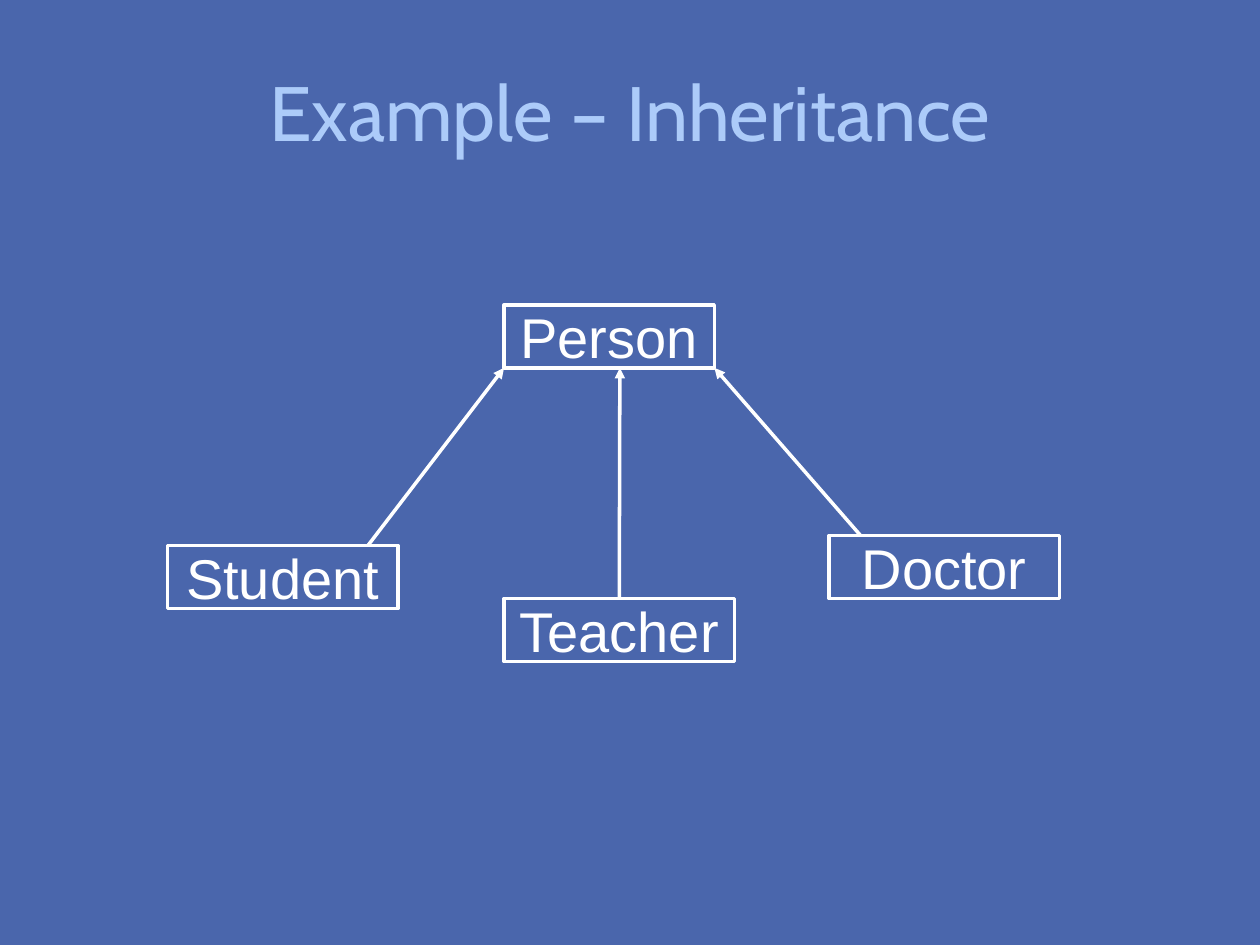
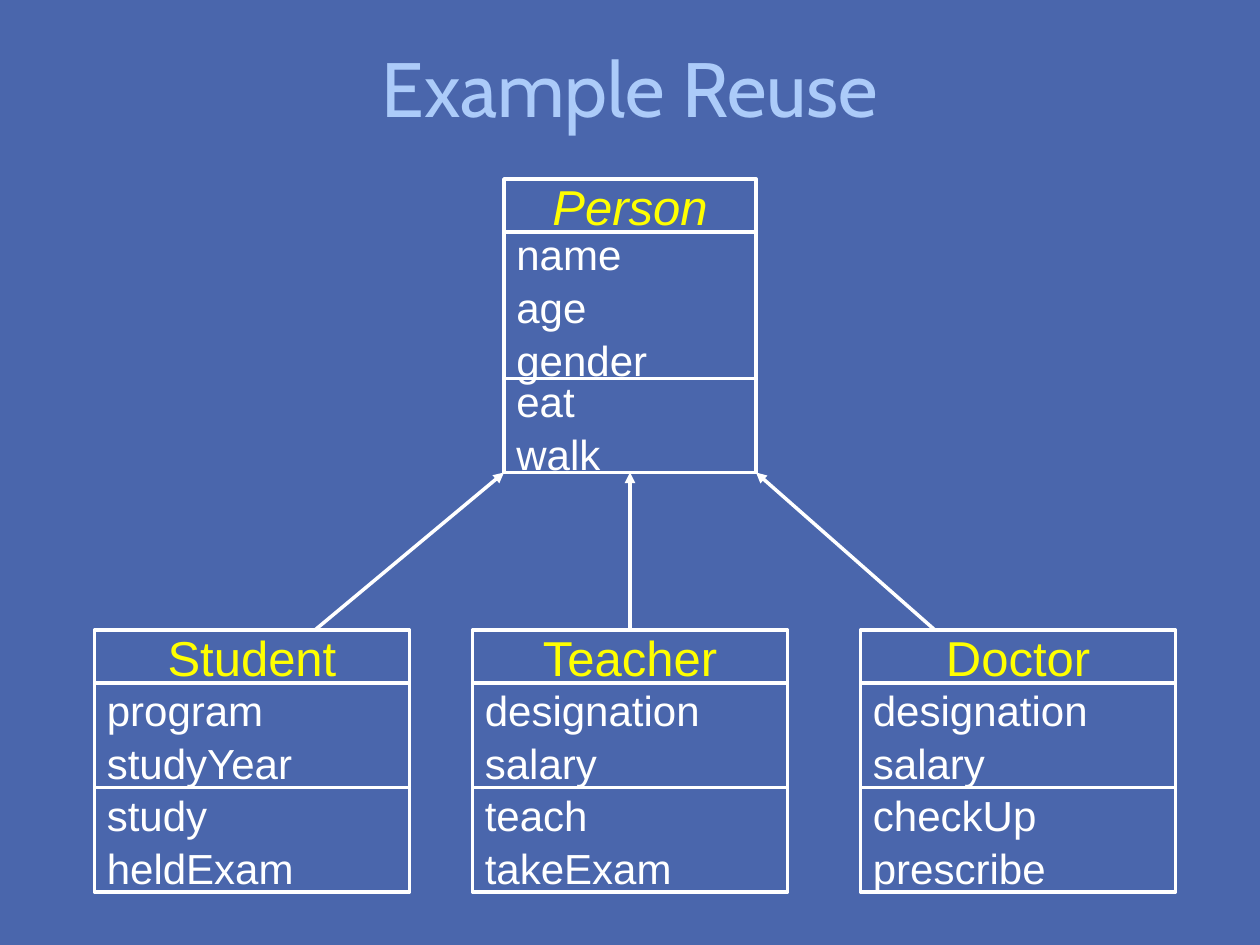
from dataclasses import dataclass

from lxml import etree
from pptx import Presentation
from pptx.dml.color import RGBColor
from pptx.enum import shapes, text
from pptx.oxml.ns import qn
from pptx.util import Inches, Pt


@dataclass(frozen=True)
class Theme:
    background: RGBColor = RGBColor(0x4A, 0x66, 0xAC)
    title: RGBColor = RGBColor(0xAC, 0xCB, 0xF9)
    ink: RGBColor = RGBColor(0xFF, 0xFF, 0xFF)
    accent: RGBColor = RGBColor(0xFF, 0xFF, 0x00)
    title_font: str = "Cabin"
    body_font: str = "Arial"
    title_size: int = 44
    node_size: int = 32
    class_size: int = 28
    member_size: int = 24
    member_spacing: float = 1.05
    line_width: int = 2


THEME = Theme()
CENTER, LEFT = text.PP_ALIGN.CENTER, text.PP_ALIGN.LEFT
NAME_HEIGHT = 0.42


# Shared parts
def format_text(tf, font, size, color, align, italic=None, spacing=None):
    tf.vertical_anchor = text.MSO_ANCHOR.MIDDLE
    for p in tf.paragraphs:
        p.alignment = align
        p.line_spacing = spacing
        for r in p.runs:
            r.font.name, r.font.size = font, Pt(size)
            r.font.color.rgb = color
            r.font.italic = italic


def add_titled_slide(prs, title, height):
    slide = prs.slides.add_slide(prs.slide_layouts.get_by_name("Title Only"))
    sp = slide.shapes.title
    sp.left, sp.top = Inches(0.33), Inches(0.25)
    sp.width, sp.height = Inches(9.34), Inches(height)
    sp.text_frame.text = title
    format_text(sp.text_frame, THEME.title_font, THEME.title_size, THEME.title, CENTER)
    return slide


def style_line(line):
    line.color.rgb = THEME.ink
    line.width = Pt(THEME.line_width)


def add_box(slide, box, content, size, color=THEME.ink, align=CENTER, **style):
    sp = slide.shapes.add_shape(shapes.MSO_SHAPE.RECTANGLE, *map(Inches, box))
    sp.shadow.inherit = False
    sp.fill.background()
    style_line(sp.line)
    tf = sp.text_frame
    tf.word_wrap = False
    tf.text = content
    format_text(tf, THEME.body_font, size, color, align, **style)
    return sp


def add_arrow(slide, start, end):
    line = slide.shapes.add_connector(
        shapes.MSO_CONNECTOR.STRAIGHT, *map(Inches, (*start, *end)))
    style_line(line.line)
    head = etree.SubElement(line.line._get_or_add_ln(), qn("a:tailEnd"))
    head.set("type", "triangle")
    etree.SubElement(line._element.spPr, qn("a:effectLst"))
    return line


# Plain hierarchy: one box per class
def build_inheritance(prs):
    slide = add_titled_slide(prs, "Example – Inheritance", 1.25)
    width, height = 1.83, 0.5
    left, top, parent_width = 4, 2.42, 1.67
    bottom = top + height
    add_box(slide, (left, top, parent_width, height), "Person", THEME.node_size)

    # Child name, left, top, arrow start x, arrow end x
    children = [
        ("Student", 1.33, 4.33, 2.92, left),
        ("Teacher", left, 4.75, 4.92, 4.92),
        ("Doctor", 6.58, 4.25, 6.83, left + parent_width),
    ]
    for name, x, y, start_x, end_x in children:
        child = add_box(slide, (x, y, width, height), name, THEME.node_size)
        arrow = add_arrow(slide, (start_x, y), (end_x, bottom))
        if name == "Teacher":
            arrow.begin_connect(child, 0)


# Class card: name, attributes and operations stacked
def add_class(slide, box, name, sections, italic=None):
    left, top, width, height = box
    header = add_box(slide, (left, top, width, NAME_HEIGHT), name,
                     THEME.class_size, THEME.accent, italic=italic)
    # Member rows share the rest of the card by the given fractions
    y, rest = top + NAME_HEIGHT, height - NAME_HEIGHT
    for members, share in sections:
        last = add_box(slide, (left, y, width, rest * share), "\n".join(members),
                       THEME.member_size, align=LEFT, spacing=THEME.member_spacing)
        y += rest * share
    return header, last


def build_reuse(prs):
    slide = add_titled_slide(prs, "Example Reuse", 0.87)
    left, top, width, height = parent = (4, 1.42, 2, 2.33)
    bottom = top + height
    _, parent_base = add_class(
        slide, parent, "Person",
        [(("name", "age", "gender"), 0.61), (("eat", "walk"), 0.39)], italic=True)

    # Child name, left, arrow start x, arrow end x, attributes, operations
    children = [
        ("Student", 0.75, 2.5, left, ("program", "studyYear"), ("study", "heldExam")),
        ("Teacher", 3.75, 5, 5, ("designation", "salary"), ("teach", "takeExam")),
        ("Doctor", 6.83, 7.42, left + width,
         ("designation", "salary"), ("checkUp", "prescribe")),
    ]
    child_top = 5
    for name, x, start_x, end_x, attributes, operations in children:
        header, _ = add_class(slide, (x, child_top, 2.5, 2.08), name,
                              [(attributes, 0.5), (operations, 0.5)])
        arrow = add_arrow(slide, (start_x, child_top), (end_x, bottom))
        if name == "Teacher":
            arrow.begin_connect(header, 0)
            arrow.end_connect(parent_base, 2)


def main():
    prs = Presentation()
    prs.slide_width, prs.slide_height = Inches(10), Inches(7.5)
    fill = prs.slide_master.background.fill
    fill.solid()
    fill.fore_color.rgb = THEME.background
    build_inheritance(prs)
    build_reuse(prs)
    prs.save("out.pptx")


if __name__ == "__main__":
    main()
